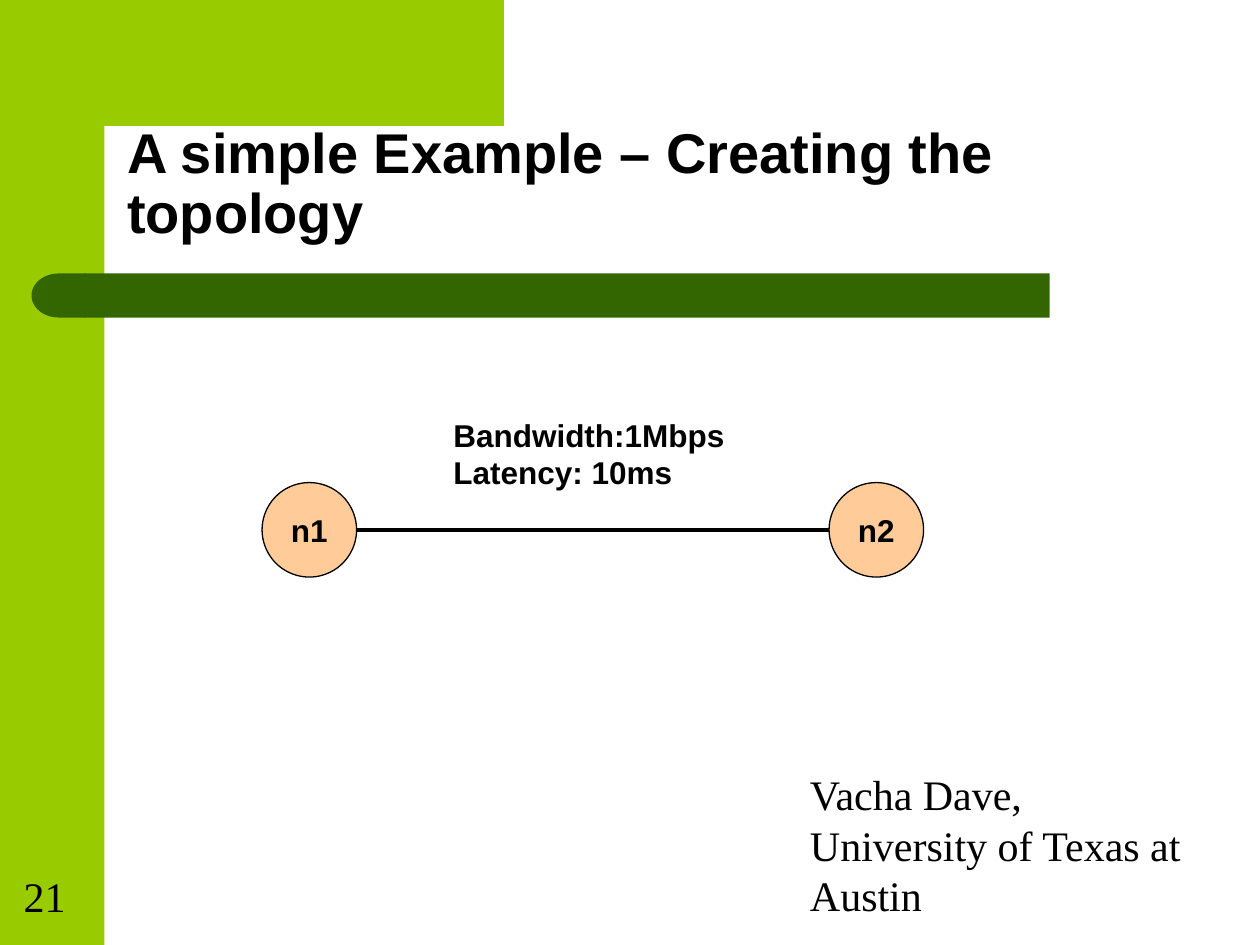
from lxml import etree
from pptx import Presentation
from pptx.dml.color import RGBColor
from pptx.enum.shapes import MSO_CONNECTOR, MSO_SHAPE
from pptx.enum.text import MSO_ANCHOR, MSO_AUTO_SIZE, PP_ALIGN
from pptx.oxml.ns import qn
from pptx.util import Inches, Pt

LIME = RGBColor(0x99, 0xCC, 0x00)
GREEN = RGBColor(0x33, 0x66, 0x00)
PEACH = RGBColor(0xFF, 0xCC, 0x99)
BLACK = RGBColor(0, 0, 0)
TOP, BOTTOM, MIDDLE = MSO_ANCHOR.TOP, MSO_ANCHOR.BOTTOM, MSO_ANCHOR.MIDDLE

# Content: text, box, size, font, bold, anchor, wrap
TITLE = ("A simple Example – Creating the topology",
         (0.91, 0.91, 8.51, 1.09), 32, "Arial", True, BOTTOM, True)
LABELS = [
    ("Bandwidth:1Mbps\nLatency: 10ms",
     (3.5, 3.25, 2.35, 0.7), 18, "Arial", True, TOP, False),
    ("Vacha Dave, University of Texas at Austin",
     (6.33, 6.83, 3.17, 0.52), 24, "Times New Roman", False, BOTTOM, True),
    ("21", (0.09, 6.83, 0.64, 0.53), 24, "Times New Roman", False, BOTTOM, True),
]
NODES = [("n1", 2.08), ("n2", 6.58)]
NODE_TOP, NODE_SIZE = 3.83, 0.75

# Corner band: straight edges, and the rounded inner corner as Bezier curves
BAND_START = [(3.5, 0), (3.5, 0.83), (1.16, 0.84), (1.11, 0.83), (1.03, 0.85)]
BAND_CURVES = [
    ((1.03, 0.85), (1, 0.86), (0.96, 0.89), (0.93, 0.92)),
    ((0.93, 0.92), (0.9, 0.95), (0.87, 1), (0.86, 1.04)),
    ((0.86, 1.04), (0.84, 1.08), (0.84, 1.11), (0.83, 1.15)),
]
BAND_END = [(0.83, 1.27), (0.5, 1.27), (0.5, 0)]
CURVE_STEPS = 6


def curve_points(curve):
    for step in range(1, CURVE_STEPS + 1):
        t = step / CURVE_STEPS
        weights = ((1 - t) ** 3, 3 * t * (1 - t) ** 2, 3 * t * t * (1 - t), t ** 3)
        yield tuple(sum(weight * point[axis] for weight, point in zip(weights, curve))
                    for axis in (0, 1))


def paint(shape, color):
    shape.shadow.inherit = False
    shape.fill.solid()
    shape.fill.fore_color.rgb = color
    shape.line.fill.background()


def add_shape(slide, kind, box, color):
    shape = slide.shapes.add_shape(kind, *map(Inches, box))
    paint(shape, color)
    return shape


def write(shape, text, size, font, bold, anchor, wrap):
    frame = shape.text_frame
    frame.text = text
    frame.word_wrap = wrap
    frame.vertical_anchor = anchor
    for paragraph in frame.paragraphs:
        paragraph.font.size = Pt(size)
        paragraph.font.name = font
        paragraph.font.bold = bold
        paragraph.font.color.rgb = BLACK
    return frame


def add_text(slide, text, box, *style):
    return write(slide.shapes.add_textbox(*map(Inches, box)), text, *style)


def main():
    presentation = Presentation()
    presentation.slide_width, presentation.slide_height = Inches(10), Inches(7.5)
    slide = presentation.slides.add_slide(presentation.slide_layouts[6])

    # Green side column and corner band
    add_shape(slide, MSO_SHAPE.RECTANGLE, (0, 0, 0.83, 7.5), LIME)
    points = BAND_START + [p for curve in BAND_CURVES for p in curve_points(curve)] + BAND_END
    builder = slide.shapes.build_freeform(*points[0], scale=Inches(1))
    builder.add_line_segments(points[1:], close=True)
    paint(builder.convert_to_shape(), LIME)

    # Dark bar with a rounded left end
    bar = add_shape(slide, MSO_SHAPE.ROUNDED_RECTANGLE, (0.67, 2.17, 7.66, 0.35), GREEN)
    bar.adjustments[0] = 0
    cap = add_shape(slide, MSO_SHAPE.FLOWCHART_DELAY, (0.25, 2.17, 0.43, 0.35), GREEN)
    cap.rotation = 180

    # Title
    title = add_text(slide, *TITLE)
    title.paragraphs[0].line_spacing = 0.9

    # Network nodes
    for name, left in NODES:
        node = add_shape(slide, MSO_SHAPE.OVAL, (left, NODE_TOP, NODE_SIZE, NODE_SIZE), PEACH)
        node.line.color.rgb = BLACK
        node.line.width = Pt(0.75)
        frame = write(node, name, 18, "Arial", True, MIDDLE, False)
        frame.paragraphs[0].alignment = PP_ALIGN.CENTER

    # Link between the nodes
    link_y = Inches(NODE_TOP + NODE_SIZE / 2)
    link = slide.shapes.add_connector(
        MSO_CONNECTOR.STRAIGHT, Inches(NODES[0][1] + NODE_SIZE), link_y,
        Inches(NODES[1][1]), link_y)
    link.line.color.rgb = BLACK
    link.line.width = Pt(2.25)
    etree.SubElement(link._element.spPr, qn("a:effectLst"))

    # Link label, footer and slide number
    frames = [add_text(slide, *label) for label in LABELS]
    frames[0].auto_size = MSO_AUTO_SIZE.SHAPE_TO_FIT_TEXT

    presentation.save("out.pptx")


if __name__ == "__main__":
    main()
